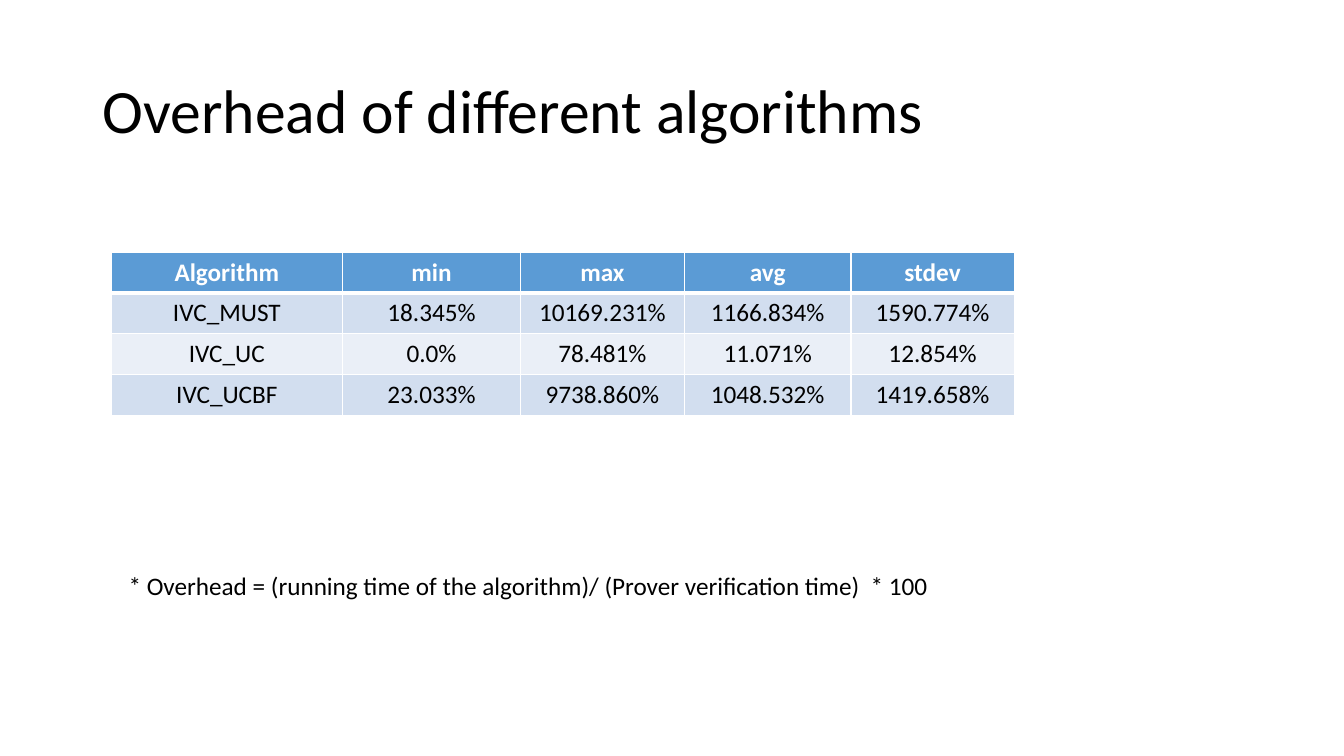
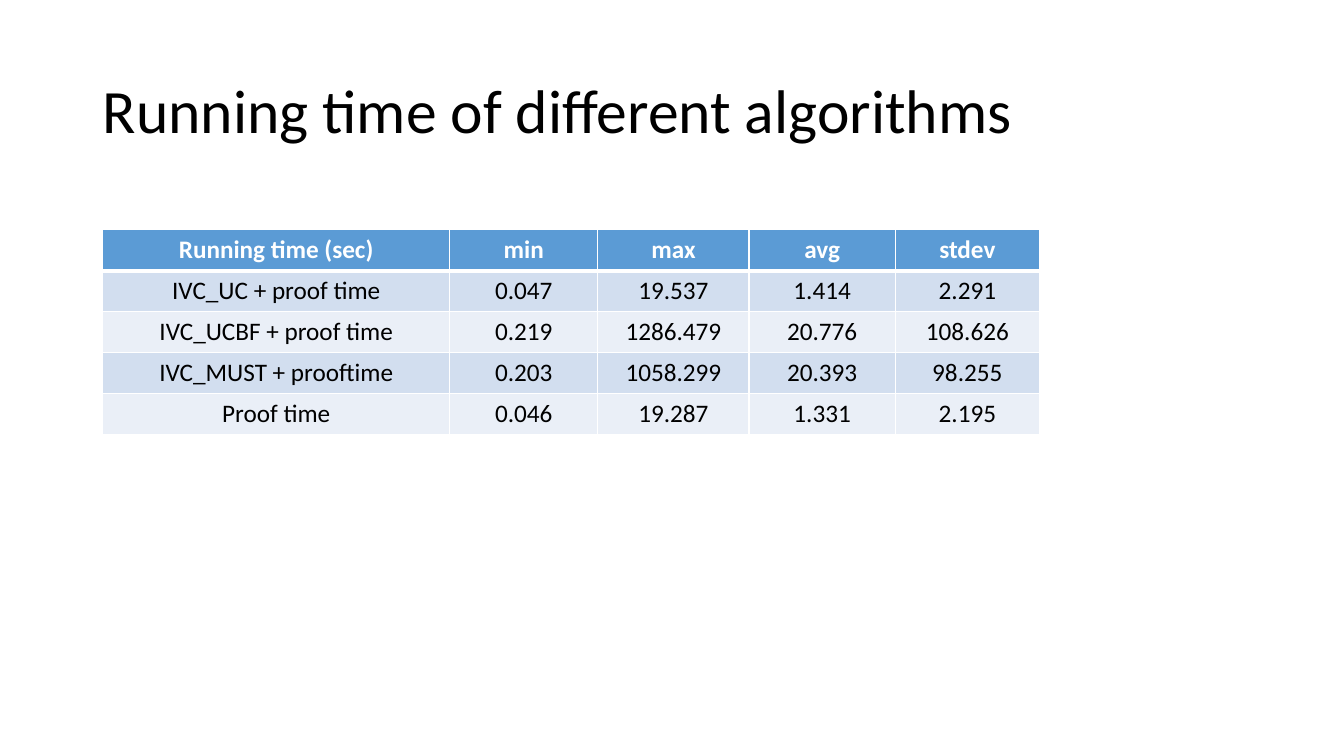
"""Build two slides that compare the cost of the algorithms in tables."""
from lxml.etree import SubElement
from pptx import Presentation
from pptx.dml.color import RGBColor
from pptx.enum.text import MSO_ANCHOR, MSO_AUTO_SIZE, PP_ALIGN
from pptx.oxml.ns import qn
from pptx.util import Pt

PX = 9144
BLACK, WHITE, BLUE = "000000", "FFFFFF", "5B9BD5"
BANDS = ["D2DEEF", "EAEFF7"]
STATS = ["min", "max", "avg", "stdev"]
SLIDES = [
    {
        "title": "Overhead of different algorithms",
        "box": (110, 250, 896, 162),
        "cols": [230, 176, 163, 165, 162],
        "rows": [
            ["Algorithm", *STATS],
            ["IVC_MUST", "18.345%", "10169.231%", "1166.834%", "1590.774%"],
            ["IVC_UC", "0.0%", "78.481%", "11.071%", "12.854%"],
            ["IVC_UCBF", "23.033%", "9738.860%", "1048.532%", "1419.658%"],
        ],
        "note": "* Overhead = (running time of the algorithm)/ (Prover verification time)  * 100",
    },
    {
        "title": "Running time of different algorithms",
        "box": (102, 228, 930, 203),
        "cols": [344, 147, 150, 145, 143],
        "rows": [
            ["Running time (sec)", *STATS],
            ["IVC_UC + proof time", "0.047", "19.537", "1.414", "2.291"],
            ["IVC_UCBF + proof time", "0.219", "1286.479", "20.776", "108.626"],
            ["IVC_MUST + prooftime", "0.203", "1058.299", "20.393", "98.255"],
            ["Proof time", "0.046", "19.287", "1.331", "2.195"],
        ],
    },
]


def paint(fill, tint):
    fill.solid()
    fill.fore_color.rgb = RGBColor.from_string(tint)


def write(frame, text, size=18, tint=BLACK, bold=False, align=PP_ALIGN.CENTER):
    frame.text = text
    para = frame.paragraphs[0]
    para.alignment = align
    font = para.runs[0].font
    for name, value in {"name": "Calibri", "size": Pt(size), "bold": bold}.items():
        setattr(font, name, value)
    paint(font.fill, tint)
    return para


deck = Presentation()
deck.slide_width, deck.slide_height = 1333 * PX, 750 * PX

for page in SLIDES:
    slide = deck.slides.add_slide(deck.slide_layouts[5])
    title = slide.shapes.title
    place = {"left": 92, "top": 40, "width": 1150, "height": 145}
    for name, value in place.items():
        setattr(title, name, value * PX)
    title.text_frame.vertical_anchor = MSO_ANCHOR.MIDDLE
    write(title.text_frame, page["title"], 44, align=PP_ALIGN.LEFT).line_spacing = 0.9

    rows, cols = page["rows"], page["cols"]
    box = [value * PX for value in page["box"]]
    table = slide.shapes.add_table(len(rows), len(cols), *box).table
    for col, width in zip(table.columns, cols):
        col.width = width * PX
    for r, row in enumerate(rows):
        head = r == 0
        for c, text in enumerate(row):
            cell = table.cell(r, c)
            cell.vertical_anchor = MSO_ANCHOR.MIDDLE
            write(cell.text_frame, text, tint=WHITE if head else BLACK, bold=head)
            edges = {"L": 1, "R": 1, "T": 3 if r == 1 else 1, "B": 3 if head else 1}
            for side, weight in edges.items():
                props = cell._tc.get_or_add_tcPr()
                line = SubElement(props, qn("a:ln" + side), w=str(Pt(weight)))
                solid = SubElement(line, qn("a:solidFill"))
                SubElement(solid, qn("a:srgbClr"), val=WHITE)
            paint(cell.fill, BLUE if head else BANDS[(r - 1) % 2])

    if "note" in page:
        note = slide.shapes.add_textbox(104 * PX, 561 * PX, 840 * PX, 40 * PX)
        fit = {"word_wrap": False, "auto_size": MSO_AUTO_SIZE.SHAPE_TO_FIT_TEXT}
        for name, value in fit.items():
            setattr(note.text_frame, name, value)
        write(note.text_frame, page["note"])

deck.save("out.pptx")
